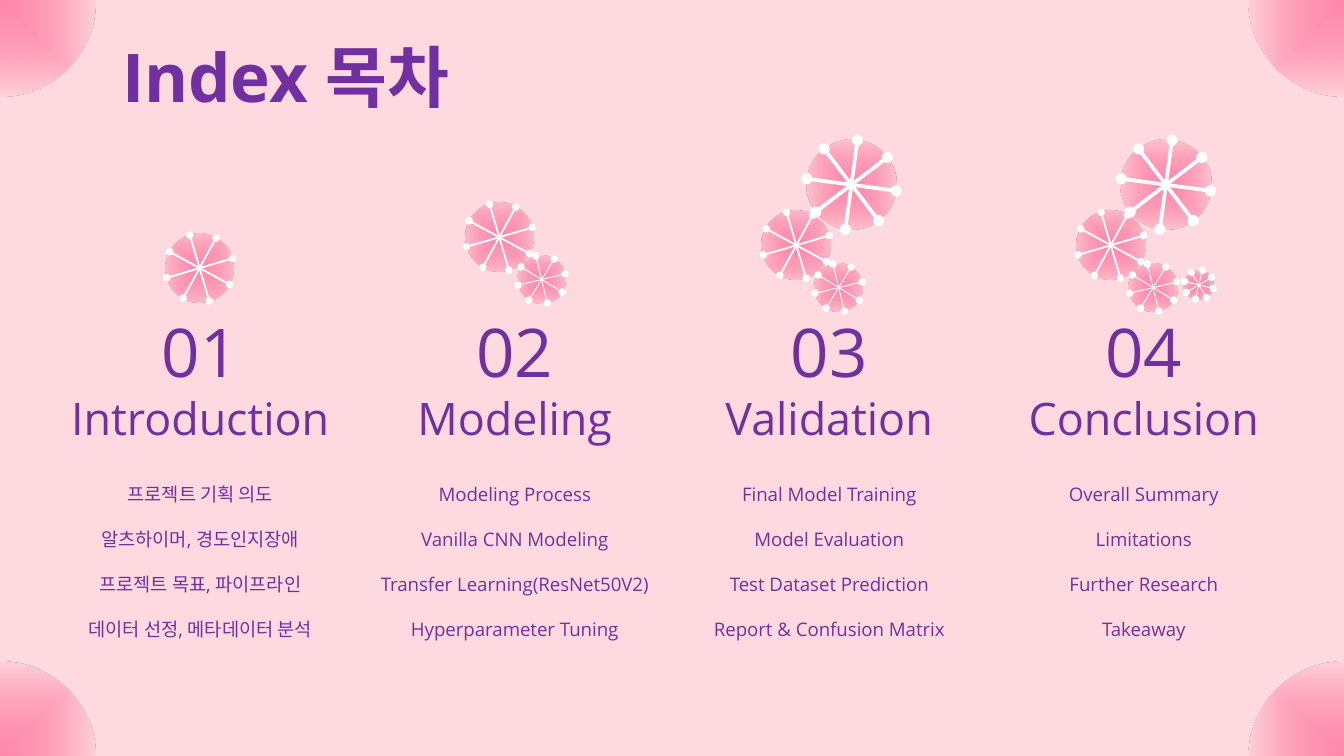
from math import cos, radians, sin

from lxml.etree import SubElement
from pptx import Presentation
from pptx.dml.color import RGBColor
from pptx.enum.shapes import MSO_CONNECTOR, MSO_SHAPE
from pptx.enum.text import MSO_AUTO_SIZE, PP_ALIGN
from pptx.oxml import parse_xml
from pptx.oxml.ns import qn
from pptx.util import Inches, Pt

COLORS = {"background": "FEDAE0", "text": "7030A0", "spoke": "FFFFFF",
          "petal": "FF6C9A", "edge": "FED2D9"}
PETAL_STOPS = [(0, "petal", 76), (24, "petal", 66), (100, "edge", 100)]
DRAWING_NAMESPACE = "http://schemas.openxmlformats.org/drawingml/2006/main"
COLUMN_LEFT, COLUMN_WIDTH = 0.32, 2.34
CORNER_SIZE = 1.42

BLOSSOMS = [
    {"offset": (0, 0), "size": 0.51, "rotation": 343.6, "width": 1, "tip": "sm"},
    {"offset": (0.39, 0.39), "size": 0.36, "rotation": 256.4, "width": 0.5, "tip": "sm"},
    {"offset": (0.33, -0.53), "size": 0.67, "rotation": 7.7, "width": 2, "tip": "med"},
    {"offset": (0.8, 0.44), "size": 0.22, "rotation": 239, "width": 0.5, "tip": "sm"},
]
CHAPTERS = [
    ("Introduction", (1.23, 1.74),
     ["프로젝트 기획 의도", "알츠하이머, 경도인지장애",
      "프로젝트 목표, 파이프라인", "데이터 선정, 메타데이터 분석"]),
    ("Modeling", (3.46, 1.51),
     ["Modeling Process", "Vanilla CNN Modeling",
      "Transfer Learning(ResNet50V2)", "Hyperparameter Tuning"]),
    ("Validation", (5.67, 1.57),
     ["Final Model Training", "Model Evaluation",
      "Test Dataset Prediction", "Report & Confusion Matrix"]),
    ("Conclusion", (8.01, 1.57),
     ["Overall Summary", "Limitations", "Further Research", "Takeaway"]),
]


class IndexSlide:
    """Hold the style and the current slide, and draw each kind of element."""

    def __init__(self, slide):
        self.slide = slide
        self.font_name = "Open Sans"
        background = slide.background.fill
        background.solid()
        background.fore_color.rgb = self.color("background")

    def color(self, name):
        return RGBColor.from_string(COLORS[name])

    def petal(self, shapes, left, top, size, rotation=0):
        shape = shapes.add_shape(MSO_SHAPE.OVAL, Inches(left), Inches(top),
                                 Inches(size), Inches(size))
        shape.rotation = rotation
        shape.shadow.inherit = False
        shape.line.fill.background()
        stops = "".join(
            f'<a:gs pos="{position * 1000}"><a:srgbClr val="{COLORS[name]}">'
            f'<a:alpha val="{alpha * 1000}"/></a:srgbClr></a:gs>'
            for position, name, alpha in PETAL_STOPS)
        gradient = parse_xml(
            f'<a:gradFill xmlns:a="{DRAWING_NAMESPACE}" rotWithShape="1">'
            f'<a:gsLst>{stops}</a:gsLst><a:path path="shape">'
            '<a:fillToRect l="50000" t="50000" r="50000" b="50000"/>'
            '</a:path></a:gradFill>')
        shape.element.spPr.find(qn("a:prstGeom")).addnext(gradient)

    def spoke(self, shapes, start, end, width, tip):
        connector = shapes.add_connector(
            MSO_CONNECTOR.STRAIGHT, *(Inches(value) for value in start + end))
        connector.line.color.rgb = self.color("spoke")
        connector.line.width = Pt(width)
        line = connector.element.spPr.find(qn("a:ln"))
        for tag in ("a:headEnd", "a:tailEnd"):
            SubElement(line, qn(tag), type="oval", w=tip, len=tip)
        SubElement(connector.element.spPr, qn("a:effectLst"))

    def blossom(self, shapes, left, top, size, rotation, width, tip):
        self.petal(shapes, left, top, size, rotation)
        radius = size / 2
        center_x, center_y = left + radius, top + radius
        for step in range(4):
            angle = radians(rotation + 45 * step)
            reach_x, reach_y = radius * cos(angle), radius * sin(angle)
            self.spoke(shapes, (center_x - reach_x, center_y - reach_y),
                       (center_x + reach_x, center_y + reach_y), width, tip)

    def cluster(self, left, top, count):
        group = self.slide.shapes.add_group_shape()
        for kind in BLOSSOMS[:count]:
            offset_x, offset_y = kind["offset"]
            self.blossom(group.shapes, left + offset_x, top + offset_y, kind["size"],
                         kind["rotation"], kind["width"], kind["tip"])

    def text(self, box, lines, bold=False, frame_format=None,
             paragraph_format=None, gap=0):
        shape = self.slide.shapes.add_textbox(*(Inches(value) for value in box))
        frame = shape.text_frame
        frame_values = {"word_wrap": True,
                        "auto_size": MSO_AUTO_SIZE.SHAPE_TO_FIT_TEXT}
        for name, value in (frame_values | (frame_format or {})).items():
            setattr(frame, name, value)
        for index, (content, size) in enumerate(lines):
            paragraph = frame.paragraphs[0] if index == 0 else frame.add_paragraph()
            for name, value in (paragraph_format or {}).items():
                setattr(paragraph, name, value)
            if index and gap:
                paragraph.space_before = Pt(gap)
            run = paragraph.add_run()
            run.text = content
            font_values = {"name": self.font_name, "size": Pt(size), "bold": bold}
            for name, value in font_values.items():
                setattr(run.font, name, value)
            run.font.color.rgb = self.color("text")


def main():
    """Build the index slide and save it."""
    presentation = Presentation()
    presentation.slide_width = Inches(10)
    presentation.slide_height = Inches(10 * 9 / 16)
    page = IndexSlide(presentation.slides.add_slide(presentation.slide_layouts[6]))

    for center_x in (0, 10):
        for top in (-0.7, 4.92):
            page.petal(page.slide.shapes, center_x - CORNER_SIZE / 2, top, CORNER_SIZE)
    page.text((0.81, 0.21, 2.92, 0.71), [("Index 목차", 36)], bold=True)

    centered = {"alignment": PP_ALIGN.CENTER}
    for index, (heading, position, topics) in enumerate(CHAPTERS):
        left = COLUMN_LEFT + index * COLUMN_WIDTH
        page.cluster(*position, index + 1)
        page.text((left, 2.26, COLUMN_WIDTH, 1.11),
                  [(f"{index + 1:02}", 36), (heading, 24)],
                  paragraph_format=centered)
        page.text((left, 3.38, COLUMN_WIDTH, 1.45),
                  [(topic, 10) for topic in topics],
                  frame_format={"margin_top": Inches(0.19)},
                  paragraph_format=centered | {"line_spacing": Pt(13.6)}, gap=10.5)
    presentation.save("out.pptx")


if __name__ == "__main__":
    main()
